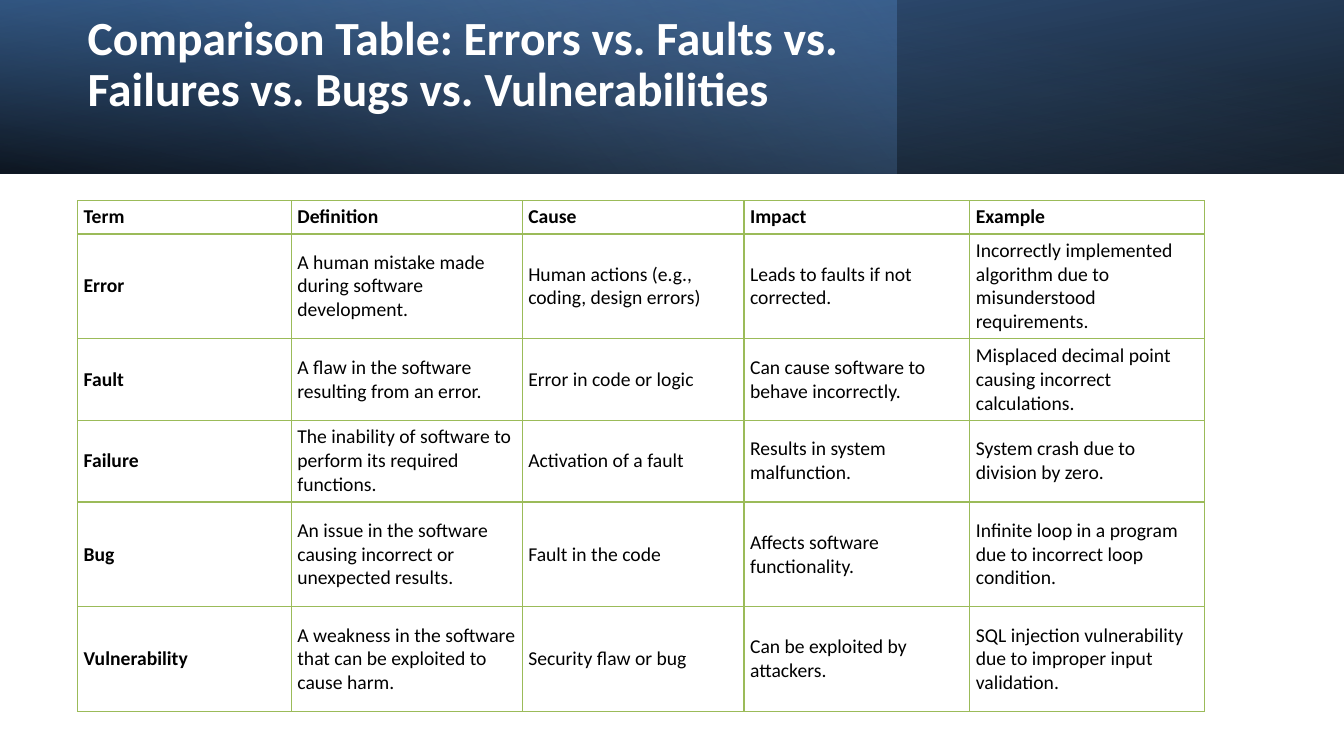
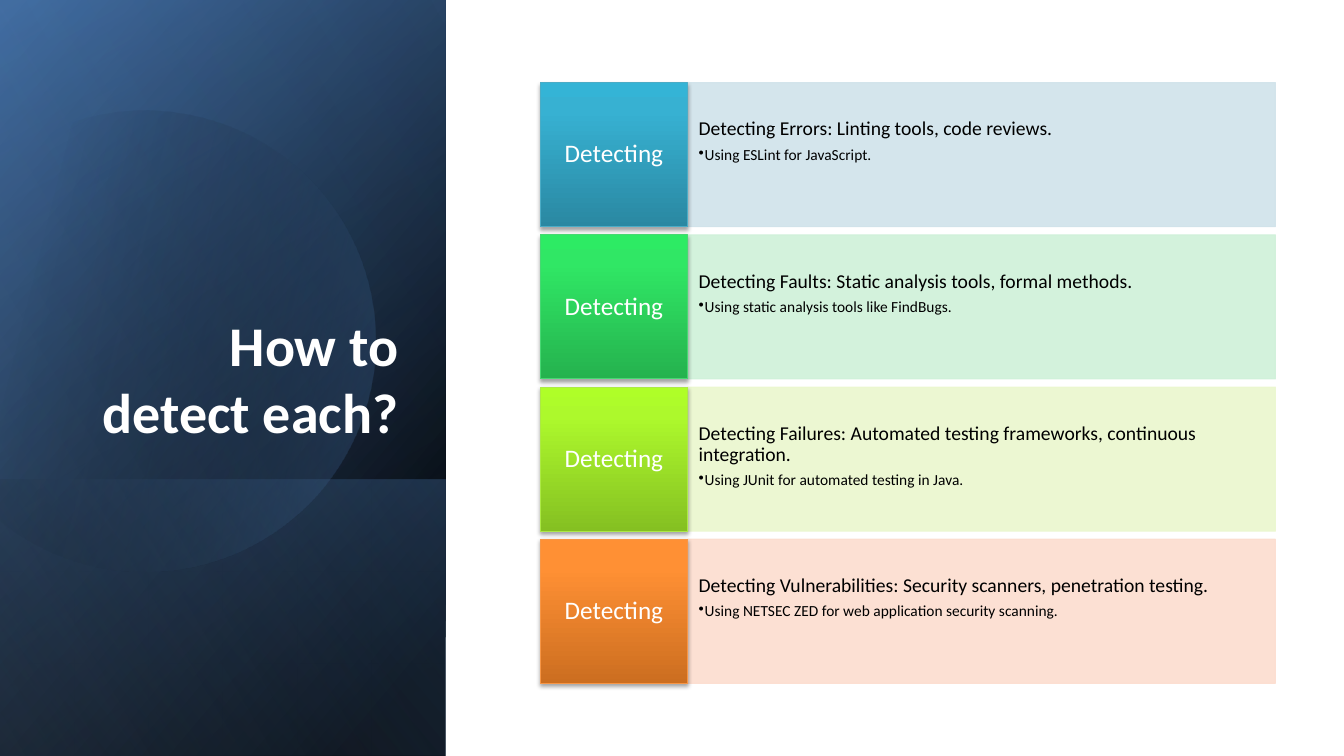
"""Build two slides on software errors: a comparison table and detection methods."""
import dataclasses
import math
import typing

import lxml.etree
import pptx
import pptx.dml.color
import pptx.enum.shapes
import pptx.enum.text
import pptx.oxml.ns
import pptx.util

Inches = pptx.util.Inches
Align = pptx.enum.text.PP_ALIGN
Anchor = pptx.enum.text.MSO_ANCHOR
qn = pptx.oxml.ns.qn

FONT = "Calibri"
BLACK, WHITE = "000000", "FFFFFF"
NAVY, BLUE, PALE_BLUE, GREEN = "376092", "4F81BD", "95B3D7", "9BBB59"


class Stop(typing.NamedTuple):
    """One gradient stop, with position and opacity in percent."""
    position: int
    color: str
    opacity: int = 100


class Frame(typing.NamedTuple):
    """Left, top, width and height in inches."""
    left: float
    top: float
    width: float
    height: float


@dataclasses.dataclass(frozen=True)
class Band:
    """A gradient rectangle of the background."""
    frame: Frame
    stops: tuple[Stop, ...]
    angle: int
    rotation: int = 0
    flipped: bool = False


@dataclasses.dataclass(frozen=True)
class Method:
    """A detection row: its texts and colours."""
    summary: str
    example: str
    panel: str
    outline: str
    shades: tuple[str, str, str]


FULL_HEADER = Frame(0, 0, 13.33, 1.72)
SIDEBAR = Frame(-1.54, 1.54, 7.5, 4.42)

HEADER_BANDS = (
    Band(FULL_HEADER, (Stop(0, BLACK, 96), Stop(100, NAVY)), 100, 180, True),
    Band(Frame(0, 0, 8.89, 1.72), (Stop(0, BLUE, 41), Stop(74, PALE_BLUE, 0)), 140),
    Band(FULL_HEADER, (Stop(0, BLACK, 63), Stop(78, BLUE, 15)), 260, 0, True),
)
SIDEBAR_BANDS = (
    Band(SIDEBAR, (Stop(8, BLACK), Stop(100, NAVY)), 50, 90, True),
    Band(SIDEBAR, (Stop(0, BLACK, 0), Stop(99, BLUE, 46)), 30, 90, True),
    Band(Frame(0.84, 3.92, 2.74, 4.42), (Stop(2, BLUE, 29), Stop(100, BLACK, 30)), 130, 90, True),
)
SIDEBAR_GLAZE = Band(SIDEBAR, (Stop(0, BLACK, 0), Stop(99, PALE_BLUE, 11)), 120, 90, True)

COLUMN_WIDTHS = (2.12, 2.29, 2.2, 2.24, 2.33)
ROW_HEIGHTS = (0.33, 1.04, 0.81, 0.81, 1.04, 1.04)
COMPARISON = (
    ("Term", "Definition", "Cause", "Impact", "Example"),
    ("Error", "A human mistake made during software development.",
     "Human actions (e.g., coding, design errors)", "Leads to faults if not corrected.",
     "Incorrectly implemented algorithm due to misunderstood requirements."),
    ("Fault", "A flaw in the software resulting from an error.", "Error in code or logic",
     "Can cause software to behave incorrectly.",
     "Misplaced decimal point causing incorrect calculations."),
    ("Failure", "The inability of software to perform its required functions.",
     "Activation of a fault", "Results in system malfunction.",
     "System crash due to division by zero."),
    ("Bug", "An issue in the software causing incorrect or unexpected results.",
     "Fault in the code", "Affects software functionality.",
     "Infinite loop in a program due to incorrect loop condition."),
    ("Vulnerability", "A weakness in the software that can be exploited to cause harm.",
     "Security flaw or bug", "Can be exploited by attackers.",
     "SQL injection vulnerability due to improper input validation."),
)

METHODS = (
    Method("Detecting Errors: Linting tools, code reviews.", "Using ESLint for JavaScript.",
           "D0E3EA", "4BACC6", ("2A88A2", "37B1D2", "34B4D6")),
    Method("Detecting Faults: Static analysis tools, formal methods.",
           "Using static analysis tools like FindBugs.",
           "CFF1D9", "47D872", ("25B24E", "30E765", "2DEB64")),
    Method("Detecting Failures: Automated testing frameworks, continuous integration.",
           "Using JUnit for automated testing in Java.",
           "EBF7CE", "ACE946", ("85C022", "ADF92C", "AFFE28")),
    Method("Detecting Vulnerabilities: Security scanners, penetration testing.",
           "Using NETSEC ZED for web application security scanning.",
           "FCDDCF", "F79646", ("CC6E20", "FF9034", "FF9136")),
)


def rgb(color: str) -> pptx.dml.color.RGBColor:
    """Turn a hex string into a colour."""
    return pptx.dml.color.RGBColor.from_string(color)


def add_node(parent, tag: str, **attributes):
    """Append a DrawingML element."""
    values = {name: str(value) for name, value in attributes.items()}
    return lxml.etree.SubElement(parent, qn(f"a:{tag}"), values)


def add_color(parent, color: str, opacity: int = 100) -> None:
    """Append a colour with an opacity in percent."""
    node = add_node(parent, "srgbClr", val=color)
    if opacity < 100:
        add_node(node, "alpha", val=opacity * 1000)


def write(para, text: str, *, size: float, color: str = BLACK, bold: bool = False,
          align=Align.LEFT, spacing: float = 1.0, after: float = 0) -> None:
    """Put one formatted span of text into a paragraph."""
    para.alignment = align
    para.line_spacing = spacing
    para.space_before = pptx.util.Pt(0)
    para.space_after = pptx.util.Pt(after)
    span = para.add_run()
    span.text = text
    span.font.name = FONT
    span.font.size = pptx.util.Pt(size)
    span.font.bold = bold
    span.font.color.rgb = rgb(color)


def set_text_area(shape, anchor, side: float, top: float, bottom: float):
    """Set wrapping, anchor and insets, and return the text frame."""
    area = shape.text_frame
    area.word_wrap = True
    area.auto_size = pptx.enum.text.MSO_AUTO_SIZE.NONE
    area.vertical_anchor = anchor
    area.margin_left = area.margin_right = Inches(side)
    area.margin_top, area.margin_bottom = Inches(top), Inches(bottom)
    return area


def fill_gradient(shape, stops: typing.Sequence[Stop], angle: int) -> None:
    """Fill a shape with a linear gradient."""
    shape.fill.background()
    properties = shape._element.spPr
    gradient = lxml.etree.Element(qn("a:gradFill"), rotWithShape="1")
    stop_list = add_node(gradient, "gsLst")
    for stop in stops:
        node = add_node(stop_list, "gs", pos=stop.position * 1000)
        add_color(node, stop.color, stop.opacity)
    add_node(gradient, "lin", ang=angle * 60000, scaled=0)
    properties.replace(properties.find(qn("a:noFill")), gradient)


def add_rectangle(page, frame: Frame):
    """Add a rectangle without shadow or line."""
    box = page.shapes.add_shape(pptx.enum.shapes.MSO_SHAPE.RECTANGLE, *map(Inches, frame))
    box.shadow.inherit = False
    box.line.fill.background()
    return box


def add_band(page, band: Band) -> None:
    """Draw a background band."""
    box = add_rectangle(page, band.frame)
    fill_gradient(box, band.stops, band.angle)
    box.rotation = band.rotation
    if band.flipped:
        box._element.spPr.find(qn("a:xfrm")).set("flipH", "1")


def add_cut_circle(page) -> None:
    """Draw the tilted circle that is cut off along the left slide edge."""
    center_x, center_y, radius, steps = 1.43, 3.34, 2.29, 90
    start, end = -117.5, 149.7
    angles = [math.radians(start + (end - start) * step / steps) for step in range(steps + 1)]
    points = [(Inches(center_x + radius * math.cos(angle)),
               Inches(center_y + radius * math.sin(angle))) for angle in angles]
    builder = page.shapes.build_freeform(*points[0])
    builder.add_line_segments(points[1:], close=True)
    circle = builder.convert_to_shape()
    circle.shadow.inherit = False
    circle.line.fill.background()
    fill_gradient(circle, (Stop(29, BLACK, 0), Stop(100, BLUE, 43)), 30)
    circle.rotation = 343.9


def place_title(page, text: str, frame: Frame, *, anchor, bottom: float = 0.05, **style) -> None:
    """Move the title placeholder above the bands and fill it."""
    title = page.shapes.title
    title.left, title.top, title.width, title.height = map(Inches, frame)
    area = set_text_area(title, anchor, 0.1, 0.05, bottom)
    write(area.paragraphs[0], text, color=WHITE, bold=True, **style)
    page.shapes._spTree.append(title._element)


def set_borders(cell, top: float, bottom: float) -> None:
    """Give a cell green borders, with top and bottom widths in points."""
    properties = cell._tc.get_or_add_tcPr()
    widths = {"lnL": 1, "lnR": 1, "lnT": top, "lnB": bottom}
    for index, (tag, width) in enumerate(widths.items()):
        line = lxml.etree.Element(qn(f"a:{tag}"), w=str(pptx.util.Pt(width)))
        add_color(add_node(line, "solidFill"), GREEN)
        properties.insert(index, line)


def add_comparison(page) -> None:
    """Draw the comparison table."""
    frame = Frame(0.77, 1.99, sum(COLUMN_WIDTHS), sum(ROW_HEIGHTS))
    table = page.shapes.add_table(len(ROW_HEIGHTS), len(COLUMN_WIDTHS), *map(Inches, frame)).table
    table.first_row = table.horz_banding = False
    for column, width in zip(table.columns, COLUMN_WIDTHS):
        column.width = Inches(width)
    for row_index, (row, height) in enumerate(zip(table.rows, ROW_HEIGHTS)):
        row.height = Inches(height)
        for column_index, cell in enumerate(row.cells):
            cell.fill.background()
            cell.vertical_anchor = Anchor.MIDDLE
            cell.margin_left = cell.margin_right = Inches(0.06)
            cell.margin_top = cell.margin_bottom = Inches(0.03)
            write(cell.text_frame.paragraphs[0], COMPARISON[row_index][column_index],
                  size=14, bold=row_index == 0 or column_index == 0)
            set_borders(cell, top=2 if row_index == 1 else 1, bottom=2 if row_index == 0 else 1)


def add_panel(page, method: Method, top: float) -> None:
    """Draw the pale panel with the summary and its example."""
    panel = add_rectangle(page, Frame(6.82, top, 5.83, 1.43))
    panel.fill.solid()
    panel.fill.fore_color.rgb = rgb(method.panel)
    panel.line.color.rgb = rgb(method.panel)
    panel.line.width = pptx.util.Pt(0.75)
    for color in panel._element.spPr.iter(qn("a:srgbClr")):
        add_node(color, "alpha", val=90000)
    area = set_text_area(panel, Anchor.TOP, 0.11, 0.36, 0.36)
    write(area.paragraphs[0], method.summary, size=14, spacing=0.9, after=4.9)
    para = area.add_paragraph()
    write(para, method.example, size=11, spacing=0.9, after=1.7)
    para.level = 1
    properties = para._p.get_or_add_pPr()
    properties.set("marL", str(Inches(0.06)))
    properties.set("indent", str(Inches(-0.06)))
    add_node(properties, "buChar", char="•")


def add_label(page, method: Method, top: float) -> None:
    """Draw the shaded label box to the left of a panel."""
    label = add_rectangle(page, Frame(5.36, top, 1.46, 1.43))
    fill_gradient(label, [Stop(*pair) for pair in zip((0, 80, 100), method.shades)], 270)
    label.line.color.rgb = rgb(method.outline)
    label.line.width = pptx.util.Pt(0.75)
    shadow = add_node(label._element.spPr.find(qn("a:effectLst")), "outerShdw",
                      blurRad=pptx.util.Pt(3.1), dist=pptx.util.Pt(1.8), dir=90 * 60000,
                      rotWithShape=0)
    add_color(shadow, BLACK, 35)
    area = set_text_area(label, Anchor.MIDDLE, 0.08, 0.14, 0.14)
    write(area.paragraphs[0], "Detecting", size=18, color=WHITE, align=Align.CENTER, spacing=0.9)


def build_comparison_page(page) -> None:
    """Build the slide with the comparison table."""
    for band in HEADER_BANDS:
        add_band(page, band)
    place_title(page, "Comparison Table: Errors vs. Faults vs. Failures vs. Bugs vs. Vulnerabilities",
                Frame(0.77, 0.27, 7.72, 1.27), anchor=Anchor.MIDDLE, bottom=0.56,
                size=34, spacing=0.9)
    add_comparison(page)


def build_detection_page(page) -> None:
    """Build the slide with the detection methods."""
    for band in SIDEBAR_BANDS:
        add_band(page, band)
    add_cut_circle(page)
    add_band(page, SIDEBAR_GLAZE)
    place_title(page, "How to detect each?", Frame(0.64, 1.84, 3.41, 2.62),
                anchor=Anchor.BOTTOM, size=40, align=Align.RIGHT)
    for index, method in enumerate(METHODS):
        top = 0.82 + 1.51 * index
        add_panel(page, method, top)
        add_label(page, method, top)


def main() -> None:
    """Build and save the deck."""
    deck = pptx.Presentation()
    deck.slide_width, deck.slide_height = Inches(13.33), Inches(7.5)
    for build in (build_comparison_page, build_detection_page):
        build(deck.slides.add_slide(deck.slide_layouts.get_by_name("Title Only")))
    deck.save("out.pptx")


if __name__ == "__main__":
    main()
